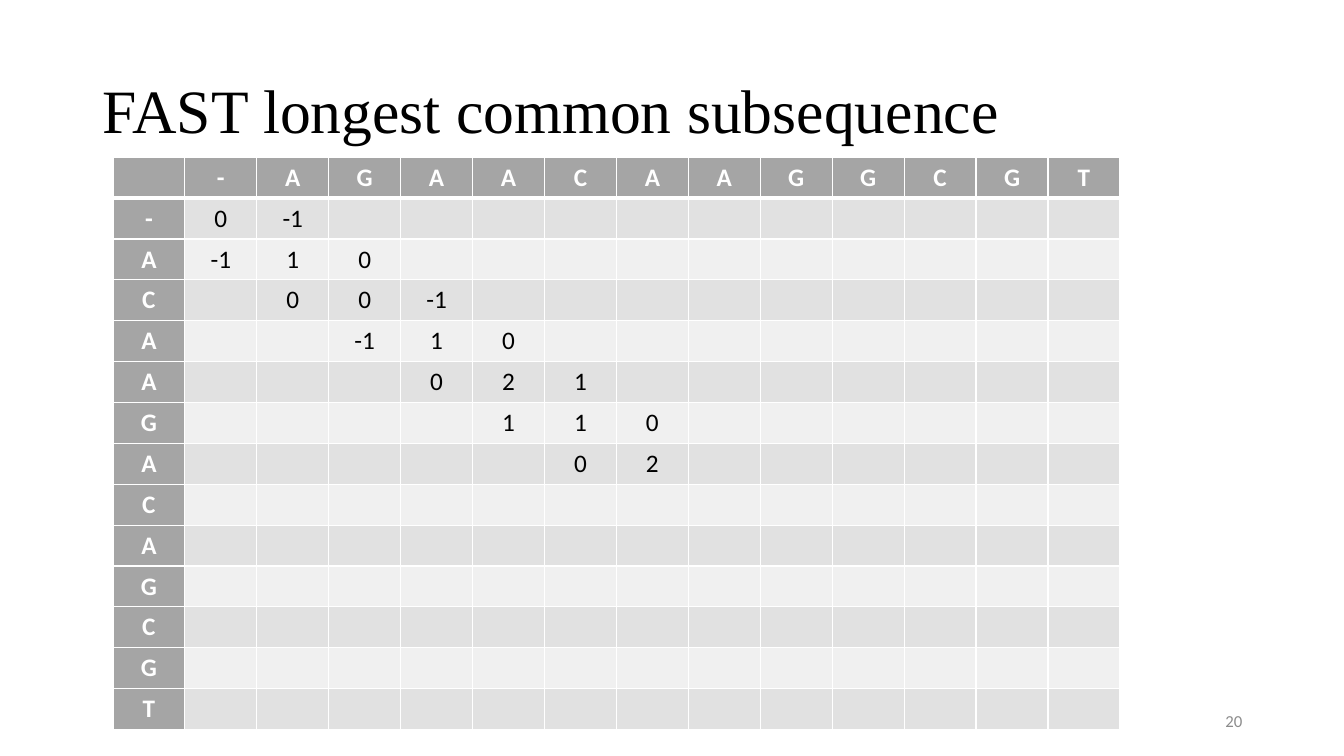
from lxml.etree import SubElement
from pptx import Presentation
from pptx.dml.color import RGBColor
from pptx.enum.text import MSO_ANCHOR, PP_ALIGN
from pptx.oxml.ns import qn
from pptx.util import Inches, Pt

BLACK = RGBColor(0x00, 0x00, 0x00)
WHITE = RGBColor(0xFF, 0xFF, 0xFF)
HEADER_GRAY = RGBColor(0xA5, 0xA5, 0xA5)
BANDS = RGBColor(0xF0, 0xF0, 0xF0), RGBColor(0xE1, 0xE1, 0xE1)
NUMBER_GRAY = RGBColor(0x8C, 0x8C, 0x8C)

TOP_SEQUENCE = "-AGAACAAGGCGT"
SIDE_SEQUENCE = "-ACAAGACAGCGT"
# Scores along the diagonal band, one list per letter of the side sequence
BAND_SCORES = [[0, -1], [-1, 1, 0], [0, 0, -1], [-1, 1, 0],
               [0, 2, 1], [1, 1, 0], [0, 2]]


class SlideBuilder:
    title = {"name": "Times New Roman", "size": Pt(44), "color": BLACK}
    number = {"name": "Calibri", "size": Pt(12), "color": NUMBER_GRAY}
    header = {"name": "Calibri", "size": Pt(18), "color": WHITE, "bold": True}
    score = {"name": "Calibri", "size": Pt(18), "color": BLACK, "bold": False}

    def __init__(self, slide):
        self.s = slide

    def set_font(self, font, style):
        for key, value in style.items():
            if key == "color":
                font.color.rgb = value
            else:
                setattr(font, key, value)

    def text(self, text, box, style, align=PP_ALIGN.LEFT, line_spacing=1.0):
        tf = self.s.shapes.add_textbox(*map(Inches, box)).text_frame
        tf.word_wrap = True
        tf.vertical_anchor = MSO_ANCHOR.MIDDLE
        p = tf.paragraphs[0]
        p.alignment, p.line_spacing = align, line_spacing
        r = p.add_run()
        r.text = text
        self.set_font(r.font, style)

    def borders(self, cell, top, bottom):
        tcPr = cell._tc.get_or_add_tcPr()
        for side, width in (("L", 1), ("R", 1), ("T", top), ("B", bottom)):
            ln = SubElement(tcPr, qn(f"a:ln{side}"), w=str(Pt(width)))
            fill = SubElement(ln, qn("a:solidFill"))
            SubElement(fill, qn("a:srgbClr"), val=str(WHITE))

    def cell(self, cell, text, row, col):
        is_header = row == 0 or col == 0
        self.borders(cell, 3 if row == 1 else 1, 3 if row == 0 else 1)
        cell.fill.solid()
        cell.fill.fore_color.rgb = HEADER_GRAY if is_header else BANDS[row % 2]
        p = cell.text_frame.paragraphs[0]
        p.alignment = PP_ALIGN.CENTER
        style = self.header if is_header else self.score
        if text:
            r = p.add_run()
            r.text = text
            self.set_font(r.font, style)
        else:
            self.set_font(p.font, style)

    def table(self, grid, box):
        shape = self.s.shapes.add_table(len(grid), len(grid[0]), *map(Inches, box))
        for row, texts in enumerate(grid):
            for col, text in enumerate(texts):
                self.cell(shape.table.cell(row, col), text, row, col)


def score_grid():
    """Return the cell texts, with each row's scores starting on the band's edge."""
    grid = [["", *TOP_SEQUENCE]]
    grid += [[letter] + [""] * len(TOP_SEQUENCE) for letter in SIDE_SEQUENCE]
    for row, scores in enumerate(BAND_SCORES, start=1):
        for col, score in enumerate(scores, start=max(row - 1, 1)):
            grid[row][col] = str(score)
    return grid


def main():
    prs = Presentation()
    prs.slide_width, prs.slide_height = Inches(13.33), Inches(7.5)
    builder = SlideBuilder(prs.slides.add_slide(prs.slide_layouts[6]))
    builder.text("FAST longest common subsequence", (0.92, 0.4, 11.5, 1.45),
                 builder.title, line_spacing=0.9)
    builder.text("20", (9.42, 6.95, 3, 0.4), builder.number, PP_ALIGN.RIGHT)
    builder.table(score_grid(), (1.12, 1.56, 9.99, 5.68))
    prs.save("out.pptx")


if __name__ == "__main__":
    main()
